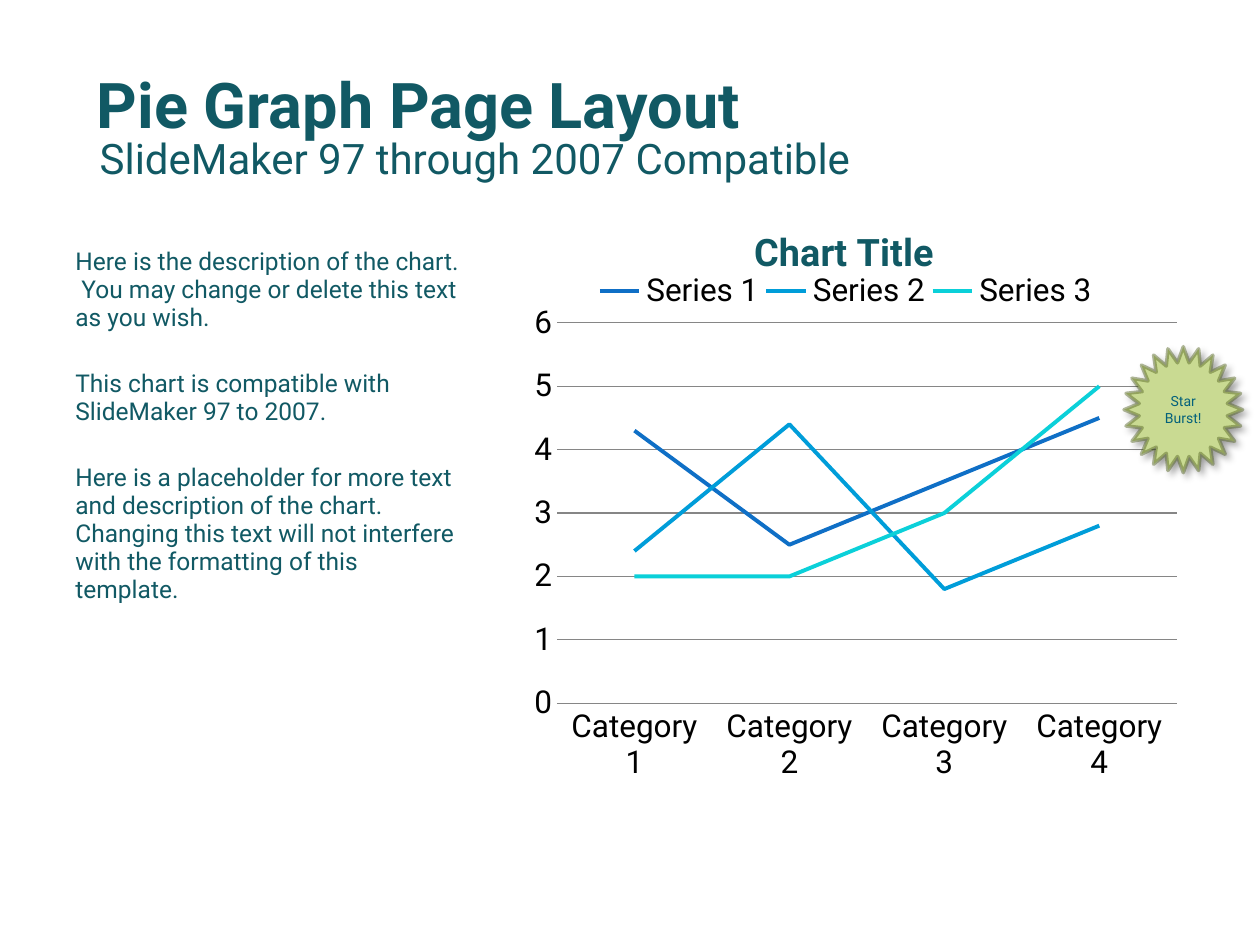
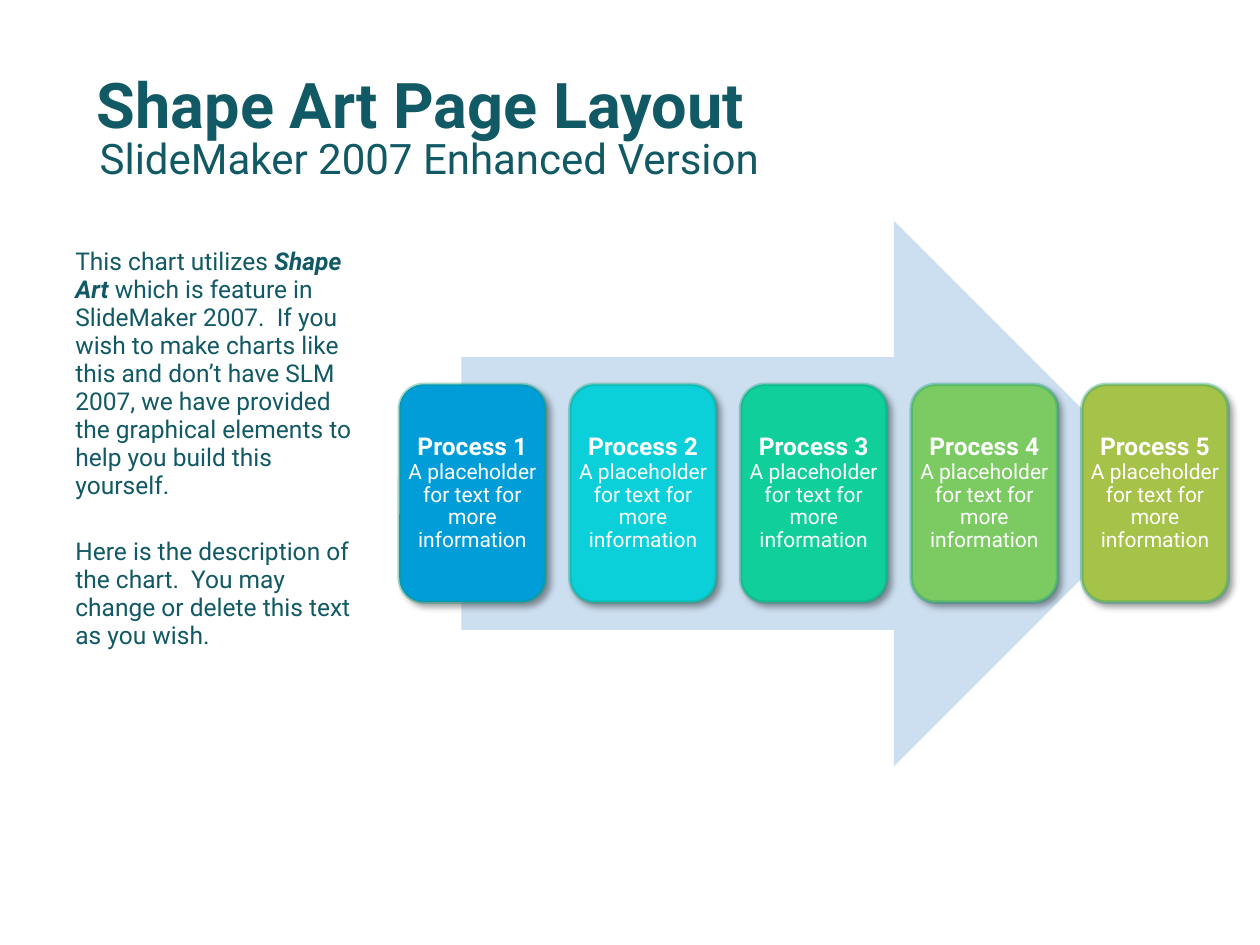
"""Builds a line chart page and a process arrow page."""
from dataclasses import dataclass

from lxml import etree
from pptx import Presentation
from pptx import util as u
from pptx.chart import data as chart_data
from pptx.dml import color
from pptx.enum import chart as charts
from pptx.enum import shapes, text
from pptx.oxml import ns


@dataclass(frozen=True)
class Theme:
    """Colours, font and type sizes shared by both pages."""
    font: str = "Roboto"
    heading: str = "115964"
    black: str = "000000"
    white: str = "FFFFFF"
    grid: str = "868686"
    arrow: str = "CCDFF1"
    star_fill: str = "C9DA92"
    star_line: str = "546422"
    star_text: str = "04617B"
    card_line: str = "0C9B74"
    series: tuple = ("0F6FC6", "009DD9", "0BD0D9")
    cards: tuple = ("009DD9", "0BD0D9", "10CF9B", "7CCA62", "A5C249")
    title_size: float = 36
    subtitle_size: float = 24
    chart_title_size: float = 21.6
    chart_size: float = 18
    body_size: float = 14
    detail_size: float = 12
    star_size: float = 8


THEME = Theme()


def rgb(value):
    """Return a colour object for a hex value."""
    return color.RGBColor.from_string(value)


def style_font(font, size, ink, bold=False, italic=False):
    """Apply the theme font with the given size, colour and weight."""
    font.name, font.size = THEME.font, u.Pt(size)
    font.bold, font.italic = bold, italic
    font.color.rgb = rgb(ink)


def add_span(para, words, *, size, ink=THEME.heading, bold=False, italic=False):
    """Add one formatted run to a paragraph."""
    span = para.add_run()
    span.text = words
    style_font(span.font, size, ink, bold, italic)


def write(frame, paragraphs, *, size, ink=THEME.heading, align=text.PP_ALIGN.LEFT,
          anchor=text.MSO_ANCHOR.TOP, line=None, gap=0):
    """Fill a frame with paragraphs, each a list of (words, overrides)."""
    frame.word_wrap = True
    frame.auto_size = text.MSO_AUTO_SIZE.NONE
    frame.vertical_anchor = anchor
    for index, spans in enumerate(paragraphs):
        para = frame.add_paragraph() if index else frame.paragraphs[0]
        para.alignment = align
        para.line_spacing = line
        para.space_before = u.Pt(gap if index else 0)
        for words, overrides in spans:
            add_span(para, words, **{"size": size, "ink": ink, **overrides})


def add_text(page, left, top, width, height, paragraphs, **style):
    """Add a text box, measured in centimetres."""
    box = page.shapes.add_textbox(*map(u.Cm, (left, top, width, height)))
    write(box.text_frame, paragraphs, **style)


def add_page(deck, title, subtitle):
    """Add a page with its title and subtitle."""
    page = deck.slides.add_slide(deck.slide_layouts[5])
    box = page.shapes.title
    box.left, box.top, box.width, box.height = map(u.Cm, (1.7, 1.19, 22.86, 1.78))
    write(box.text_frame, [[(title, {"bold": True})]], size=THEME.title_size,
          anchor=text.MSO_ANCHOR.MIDDLE)
    add_text(page, 1.76, 2.54, 22.66, 1.27, [[(subtitle, {})]],
             size=THEME.subtitle_size)
    return page


def add_description(page, width, paragraphs):
    """Add the description column at the left of a page."""
    add_text(page, 1.27, 4.87, width, 12.14, paragraphs, size=THEME.body_size,
             line=u.Pt(16), gap=21.6)


def add_figure(page, kind, left, top, width, height, fill):
    """Add a plain filled preset shape without outline."""
    figure = page.shapes.add_shape(kind, *map(u.Cm, (left, top, width, height)))
    figure.shadow.inherit = False
    figure.fill.solid()
    figure.fill.fore_color.rgb = rgb(fill)
    figure.line.fill.background()
    return figure


def add_alpha(tint, percent):
    """Make a colour element partly transparent."""
    etree.SubElement(tint, ns.qn("a:alpha"), val=str(percent * 1000))


def raise_figure(figure, outline, opacity):
    """Give a shape a translucent outline and a soft shadow."""
    figure.line.width = u.Pt(2)
    figure.line.color.rgb = rgb(outline)
    add_alpha(figure.element.xpath(".//a:ln//a:srgbClr")[0], opacity)
    effects = figure.element.xpath("./p:spPr/a:effectLst")[0]
    shadow = etree.SubElement(
        effects, ns.qn("a:outerShdw"), blurRad=str(u.Pt(4)), dist=str(u.Pt(3)),
        dir=str(45 * 60000), algn="tl", rotWithShape="0")
    add_alpha(etree.SubElement(shadow, ns.qn("a:srgbClr"), val=THEME.black), 40)


def place_part(part, index, **fractions):
    """Set the manual layout of a chart part as fractions of the chart."""
    for old in part.findall(ns.qn("c:layout")):
        part.remove(old)
    layout = etree.Element(ns.qn("c:layout"))
    manual = etree.SubElement(layout, ns.qn("c:manualLayout"))
    if index == 0:
        etree.SubElement(manual, ns.qn("c:layoutTarget"), val="inner")
    for mode in ("xMode", "yMode"):
        etree.SubElement(manual, ns.qn(f"c:{mode}"), val="edge")
    for name, value in fractions.items():
        etree.SubElement(manual, ns.qn(f"c:{name}"), val=str(value))
    part.insert(index, layout)


def style_axes(chart):
    """Format both axes and the gridlines."""
    for axis in (chart.category_axis, chart.value_axis):
        axis.major_tick_mark = axis.minor_tick_mark = charts.XL_TICK_MARK.NONE
    values = chart.value_axis
    values.minimum_scale, values.maximum_scale, values.major_unit = 0, 6, 1
    values.has_major_gridlines = True
    values.format.line.fill.background()
    for line in (values.major_gridlines.format.line,
                 chart.category_axis.format.line):
        line.color.rgb = rgb(THEME.grid)
        line.width = u.Pt(0.75)


def add_line_chart(page, title, categories, series):
    """Add the line chart with its title and legend."""
    table = chart_data.CategoryChartData()
    table.categories = categories
    for name, values in series.items():
        table.add_series(name, values)
    chart = page.shapes.add_chart(
        charts.XL_CHART_TYPE.LINE, *map(u.Cm, (9.95, 4.04, 14.2, 13)), table).chart
    style_font(chart.font, THEME.chart_size, THEME.black)
    chart.plots[0].vary_by_categories = False
    for line, ink in zip(chart.plots[0].series, THEME.series):
        line.smooth = False
        line.format.line.color.rgb = rgb(ink)
        line.format.line.width = u.Pt(2.25)
        line.marker.style = charts.XL_MARKER_STYLE.NONE
    style_axes(chart)
    chart.has_title = True
    add_span(chart.chart_title.text_frame.paragraphs[0], title,
             size=THEME.chart_title_size, bold=True)
    chart.has_legend = True
    chart.legend.position = charts.XL_LEGEND_POSITION.BOTTOM
    chart.legend.include_in_layout = False
    root = chart.element
    place_part(root.xpath(".//c:plotArea")[0], 0, x=0.09, y=0.19, w=0.88, h=0.59)
    place_part(root.xpath("./c:chart/c:title")[0], 1, x=0.36, y=0.03)
    place_part(root.xpath(".//c:legend")[0], 1, x=0.14, y=0.11, w=0.72, h=0.06)


def add_star(page, words):
    """Add the star burst beside the chart."""
    star = add_figure(page, shapes.MSO_SHAPE.STAR_24_POINT,
                      22.66, 6.99, 2.39, 2.54, THEME.star_fill)
    raise_figure(star, THEME.star_line, 45)
    write(star.text_frame, [[(words, {})]], size=THEME.star_size,
          ink=THEME.star_text, align=text.PP_ALIGN.CENTER,
          anchor=text.MSO_ANCHOR.MIDDLE)


def add_process(page, detail):
    """Add the arrow and its evenly spaced process cards."""
    add_figure(page, shapes.MSO_SHAPE.RIGHT_ARROW, 9.3, 4.45, 14.22, 11, THEME.arrow)
    for index, fill in enumerate(THEME.cards):
        card = add_figure(page, shapes.MSO_SHAPE.ROUNDED_RECTANGLE,
                          8.05 + index * 3.44, 7.75, 2.95, 4.39, fill)
        raise_figure(card, THEME.card_line, 33)
        frame = card.text_frame
        frame.margin_left = frame.margin_right = 0
        heading = {"size": THEME.body_size, "bold": True}
        write(frame, [[(f"Process {index + 1}", heading)], [(detail, {})]],
              size=THEME.detail_size, ink=THEME.white, line=0.9,
              align=text.PP_ALIGN.CENTER, anchor=text.MSO_ANCHOR.MIDDLE)


def main():
    """Build and save the deck."""
    deck = Presentation()
    deck.slide_width, deck.slide_height = u.Cm(25.4), u.Cm(19.05)
    intro = ("Here is the description of the chart.  "
             "You may change or delete this text as you wish.")

    page = add_page(deck, "Pie Graph Page Layout",
                    "SlideMaker 97 through 2007 Compatible")
    add_description(page, 8.36, [
        [(intro, {})],
        [("This chart is compatible with SlideMaker 97 to 2007.", {})],
        [("Here is a placeholder for more text and description of the chart.  "
          "Changing this text will not interfere with the formatting of this "
          "template.", {})]])
    add_line_chart(page, "Chart Title", [f"Category {n}" for n in range(1, 5)], {
        "Series 1": (4.3, 2.5, 3.5, 4.5),
        "Series 2": (2.4, 4.4, 1.8, 2.8),
        "Series 3": (2, 2, 3, 5)})
    add_star(page, "Star Burst!")

    page = add_page(deck, "Shape Art Page Layout", "SlideMaker 2007 Enhanced Version")
    add_description(page, 6.35, [
        [("This chart utilizes ", {}),
         ("Shape Art ", {"bold": True, "italic": True}),
         ("which is feature in SlideMaker 2007.  If you wish to make charts like "
          "this and don’t have SLM 2007, we have provided the graphical elements "
          "to help you build this yourself.", {})],
        [(intro, {})]])
    add_process(page, "A placeholder for text for more information")
    deck.save("out.pptx")


if __name__ == "__main__":
    main()
